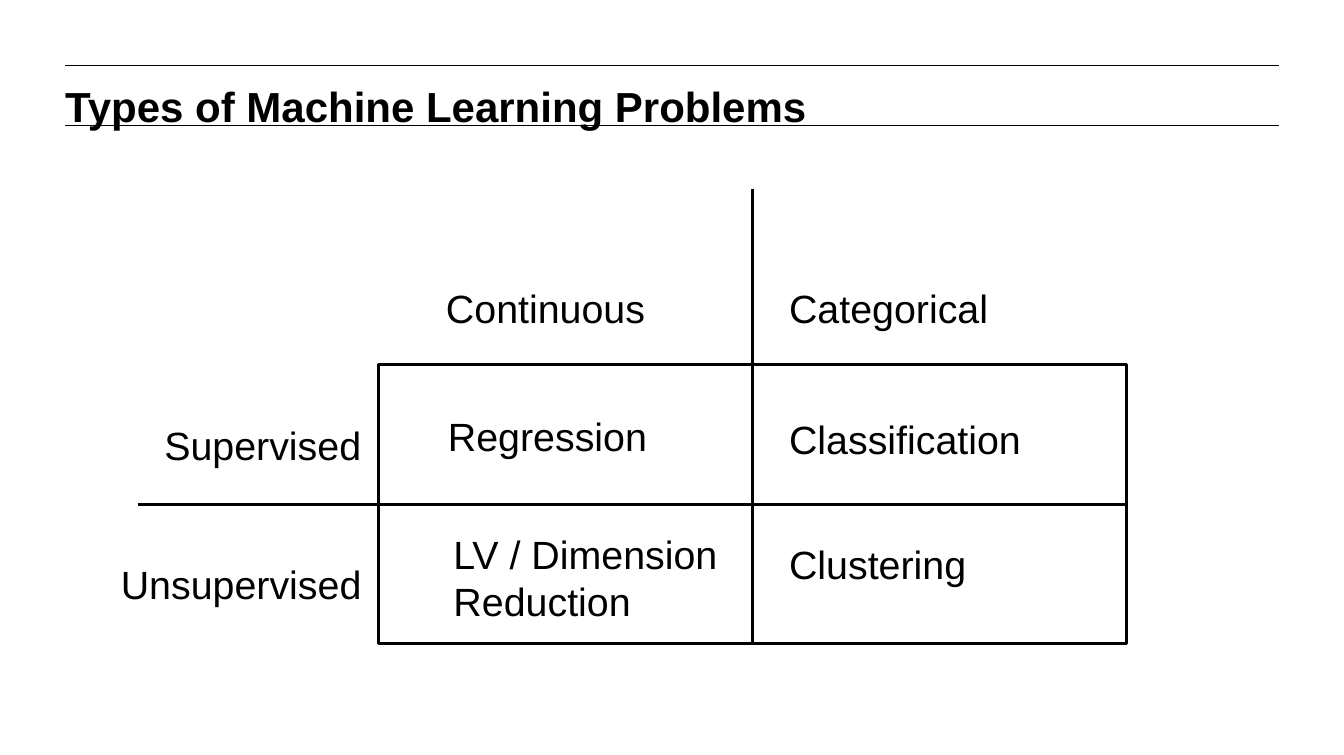
from lxml import etree
from pptx import Presentation
from pptx.dml.color import RGBColor
from pptx.enum.shapes import MSO_CONNECTOR, MSO_SHAPE
from pptx.enum.text import MSO_ANCHOR, MSO_AUTO_SIZE, PP_ALIGN
from pptx.oxml.ns import qn
from pptx.util import Inches, Pt

BLACK = "000000"


def color(hex_value):
    return RGBColor.from_string(hex_value)


def add_line(x1, y1, x2, y2, width):
    line = slide.shapes.add_connector(
        MSO_CONNECTOR.STRAIGHT, Inches(x1), Inches(y1), Inches(x2), Inches(y2))
    line.line.color.rgb = color(BLACK)
    line.line.width = Pt(width)
    properties = line._element.find(qn("p:spPr"))
    etree.SubElement(properties, qn("a:effectLst"))
    return line


presentation = Presentation()
presentation.slide_width = Inches(14.22)
presentation.slide_height = Inches(7.99)
slide = presentation.slides.add_slide(presentation.slide_layouts[5])

# Title between two rules
for rule_y in (0.69, 1.33):
    add_line(0.69, rule_y, 13.53, rule_y, 0.75)

title = slide.shapes.title
title.left, title.top = Inches(0.69), Inches(0.85)
title.width, title.height = Inches(12.83), Inches(0.47)
title_format = {
    "margin_left": 0, "margin_top": 0, "margin_right": 0, "margin_bottom": 0,
    "word_wrap": True, "auto_size": MSO_AUTO_SIZE.NONE,
    "vertical_anchor": MSO_ANCHOR.TOP,
}
for name, value in title_format.items():
    setattr(title.text_frame, name, value)
title.text_frame.text = "Types of Machine Learning Problems"
paragraph = title.text_frame.paragraphs[0]
paragraph.alignment = PP_ALIGN.LEFT
for name, value in {"name": "Arial", "size": Pt(32), "bold": True}.items():
    setattr(paragraph.font, name, value)
paragraph.font.color.rgb = color(BLACK)

# Two-by-two grid, with its dividers running out past the headings
left, top, width, height = 4, 3.86, 7.92, 2.95
middle_x, middle_y = left + width / 2, top + height / 2
grid = slide.shapes.add_shape(
    MSO_SHAPE.RECTANGLE, Inches(left), Inches(top), Inches(width), Inches(height))
grid.shadow.inherit = False
grid.fill.background()
grid.line.color.rgb = color(BLACK)
grid.line.width = Pt(2.25)

row_divider = add_line(1.46, middle_y, left + width, middle_y, 2.25)
row_divider.end_connect(grid, 3)
column_divider = add_line(middle_x, 2, middle_x, top + height, 2.25)
column_divider.end_connect(grid, 2)

# Headings and cells: text, left, top, width, height
labels = [
    ("Continuous", 4.62, 2.96, 2.32, 0.61),
    ("Categorical", 8.25, 2.96, 2.32, 0.61),
    ("Supervised", 1.64, 4.41, 2.3, 0.61),
    ("Unsupervised", 1.18, 5.88, 2.77, 0.61),
    ("Regression", 4.64, 4.31, 2.32, 0.61),
    ("Classification", 8.25, 4.34, 2.68, 0.61),
    ("Clustering", 8.25, 5.67, 2.09, 0.61),
    ("LV / Dimension\nReduction", 4.7, 5.56, 3.17, 1.11),
]
for text, *box in labels:
    shape = slide.shapes.add_textbox(*[Inches(length) for length in box])
    shape.text_frame.text = text
    shape.text_frame.word_wrap = False
    shape.text_frame.auto_size = MSO_AUTO_SIZE.SHAPE_TO_FIT_TEXT
    for paragraph in shape.text_frame.paragraphs:
        for name, value in {"name": "Arial", "size": Pt(30)}.items():
            setattr(paragraph.font, name, value)
        paragraph.font.color.rgb = color(BLACK)

presentation.save("out.pptx")
